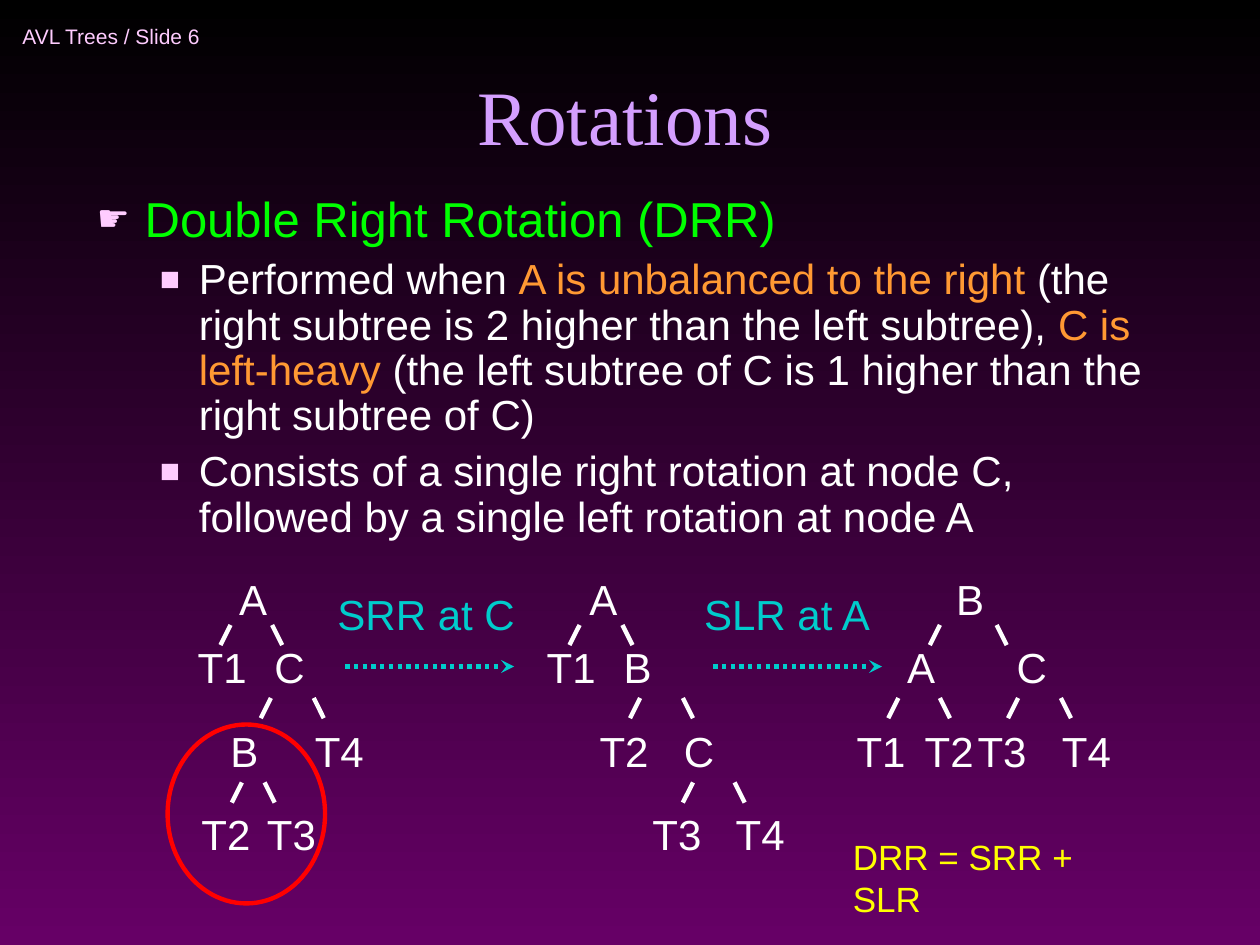
from typing import NamedTuple

from lxml.etree import SubElement
from pptx import Presentation
from pptx.dml.color import RGBColor
from pptx.enum.dml import MSO_LINE
from pptx.enum.shapes import MSO_CONNECTOR, MSO_SHAPE
from pptx.enum.text import MSO_ANCHOR, MSO_AUTO_SIZE, PP_ALIGN
from pptx.oxml.ns import qn
from pptx.util import Inches, Pt

WHITE, TEAL, GREEN, ORANGE = "FFFFFF", "00CCCC", "00FF00", "FF9933"
PINK, LILAC, YELLOW, RED = "FFCCFF", "D49FFF", "FFFF00", "FF0000"
LINE_WIDTH = Pt(2.5)

# Vertical rhythm of the trees, by level
NODE_TOPS = [4.5, 5.04, 5.71, 6.37]
EDGE_TOPS = [4.96, 5.54, 6.21]
EDGE_RUN, EDGE_DROP = 0.08, 0.16
NODE_WIDTHS = {"A": 0.42, "B": 0.42, "C": 0.44}
SUBTREE_WIDTH = 0.59


class Node(NamedTuple):
    label: str
    left: float
    level: int


class Fork(NamedTuple):
    """The two edges below a node, by the x of their upper ends."""
    left: float
    right: float
    level: int


class Tree(NamedTuple):
    nodes: list[Node]
    forks: list[Fork]


class Step(NamedTuple):
    label: str
    left: float
    width: float
    arrow_start: float


class Bullet(NamedTuple):
    mark: str
    mark_size: int
    margin: float
    indent: float
    space: int
    size: int
    runs: list[tuple[str, str]]


TREES = [
    Tree([Node("A", 1.8, 0), Node("T1", 1.47, 1), Node("C", 2.08, 1), Node("B", 1.73, 2),
          Node("T4", 2.4, 2), Node("T2", 1.5, 3), Node("T3", 2.02, 3)],
         [Fork(1.83, 2.16, 0), Fork(2.15, 2.49, 1), Fork(1.92, 2.1, 2)]),
    Tree([Node("A", 4.58, 0), Node("T1", 4.24, 1), Node("B", 4.85, 1), Node("T2", 4.66, 2),
          Node("C", 5.33, 2), Node("T3", 5.08, 3), Node("T4", 5.74, 3)],
         [Fork(4.6, 4.94, 0), Fork(5.08, 5.42, 1), Fork(5.5, 5.83, 2)]),
    Tree([Node("B", 7.49, 0), Node("A", 7.1, 1), Node("C", 7.97, 1), Node("T1", 6.7, 2),
          Node("T2", 7.24, 2), Node("T3", 7.66, 2), Node("T4", 8.33, 2)],
         [Fork(7.46, 7.91, 0), Fork(7.13, 7.46, 1), Fork(8.08, 8.42, 1)]),
]
STEPS = [Step("SRR at C", 2.58, 1.61, 2.74), Step("SLR at A", 5.49, 1.53, 5.66)]
BULLETS = [
    Bullet("☛", 75, 0.38, -0.38, 7, 28, [("Double Right Rotation (DRR)", GREEN)]),
    Bullet("■", 80, 0.81, -0.31, 6, 24, [
        ("Performed when ", WHITE),
        ("A is unbalanced to the right", ORANGE),
        (" (the right subtree is 2 higher than the left subtree), ", WHITE),
        ("C is left-heavy", ORANGE),
        (" (the left subtree of C is 1 higher than the right subtree of C)", WHITE)]),
    Bullet("■", 80, 0.81, -0.31, 6, 24, [
        ("Consists of a single right rotation at node C, "
         "followed by a single left rotation at node A", WHITE)]),
]


def rgb(color: str) -> RGBColor:
    return RGBColor.from_string(color)


def style(run, size: float, color: str, font: str = "Arial") -> None:
    run.font.name = font
    run.font.size = Pt(size)
    run.font.color.rgb = rgb(color)


def add_label(text: str, left: float, top: float, width: float, height: float = 0.5,
              size: int = 24, color: str = WHITE, space: int = 6):
    label = slide.shapes.add_textbox(Inches(left), Inches(top), Inches(width), Inches(height))
    frame = label.text_frame
    frame.word_wrap = False
    frame.auto_size = MSO_AUTO_SIZE.SHAPE_TO_FIT_TEXT
    frame.text = text
    frame.paragraphs[0].space_before = Pt(space)
    style(frame.paragraphs[0].runs[0], size, color)
    return frame


def add_line(x1: float, y1: float, x2: float, y2: float, color: str = WHITE):
    line = slide.shapes.add_connector(
        MSO_CONNECTOR.STRAIGHT, Inches(x1), Inches(y1), Inches(x2), Inches(y2))
    line.line.color.rgb = rgb(color)
    line.line.width = LINE_WIDTH
    SubElement(line._element.spPr, qn("a:effectLst"))
    return line


def add_tree(tree: Tree) -> None:
    for fork in tree.forks:
        top = EDGE_TOPS[fork.level]
        for x, run in ((fork.left, -EDGE_RUN), (fork.right, EDGE_RUN)):
            add_line(x, top, x + run, top + EDGE_DROP)
    for node in tree.nodes:
        add_label(node.label, node.left, NODE_TOPS[node.level],
                  NODE_WIDTHS.get(node.label, SUBTREE_WIDTH))


def add_step(step: Step) -> None:
    add_label(step.label, step.left, 4.62, step.width, color=TEAL)
    arrow = add_line(step.arrow_start, 5.29, step.arrow_start + 1.34, 5.29, TEAL)
    arrow.line.dash_style = MSO_LINE.ROUND_DOT
    SubElement(arrow.line._get_or_add_ln(), qn("a:tailEnd"), type="stealth")


def write_bullet(paragraph, bullet: Bullet) -> None:
    paragraph.line_spacing = 0.9
    paragraph.space_before = Pt(bullet.space)
    properties = paragraph._p.get_or_add_pPr()
    properties.set("marL", str(Inches(bullet.margin)))
    properties.set("indent", str(Inches(bullet.indent)))
    mark_color = SubElement(properties, qn("a:buClr"))
    SubElement(mark_color, qn("a:srgbClr"), val=PINK)
    SubElement(properties, qn("a:buSzPct"), val=str(bullet.mark_size * 1000))
    SubElement(properties, qn("a:buFont"), typeface="Arial")
    SubElement(properties, qn("a:buChar"), char=bullet.mark)
    for text, color in bullet.runs:
        run = paragraph.add_run()
        run.text = text
        style(run, bullet.size, color)


presentation = Presentation()
presentation.slide_width, presentation.slide_height = Inches(10), Inches(7.5)
slide = presentation.slides.add_slide(presentation.slide_layouts[5])

# Background, black at the top
backdrop = slide.background.fill
backdrop.gradient()
backdrop.gradient_angle = 270
for stop, color in zip(backdrop.gradient_stops, ("000000", "660066")):
    stop.color.rgb = rgb(color)

# Running header and title
header = add_label("AVL Trees / Slide 6", 0.08, 0.08, 2.75, 0.42, 12, PINK, 0)
header.auto_size = MSO_AUTO_SIZE.NONE
header.vertical_anchor = MSO_ANCHOR.MIDDLE

title = slide.shapes.title
title.left, title.top, title.width, title.height = map(Inches, (0.67, 0.08, 8.58, 1.25))
title.text_frame.text = "Rotations"
title.text_frame.auto_size = MSO_AUTO_SIZE.NONE
title.text_frame.vertical_anchor = MSO_ANCHOR.BOTTOM
title.text_frame.paragraphs[0].alignment = PP_ALIGN.CENTER
style(title.text_frame.paragraphs[0].runs[0], 44, LILAC, "Times New Roman")

# Explanation
explanation = slide.shapes.add_textbox(
    Inches(0.67), Inches(1.5), Inches(8.58), Inches(3)).text_frame
explanation.word_wrap = True
for index, bullet in enumerate(BULLETS):
    write_bullet(explanation.add_paragraph() if index else explanation.paragraphs[0], bullet)

# Trees before, between and after the two rotations
for tree in TREES:
    add_tree(tree)
for step in STEPS:
    add_step(step)
add_label("DRR = SRR + SLR", 6.67, 6.58, 2.56, 0.44, 20, YELLOW, 5)

# Ring around the subtree that causes the imbalance
ring = slide.shapes.add_shape(
    MSO_SHAPE.OVAL, Inches(1.33), Inches(5.75), Inches(1.25), Inches(1.42))
ring.shadow.inherit = False
ring.fill.background()
ring.line.color.rgb = rgb(RED)
ring.line.width = LINE_WIDTH

presentation.save("out.pptx")
